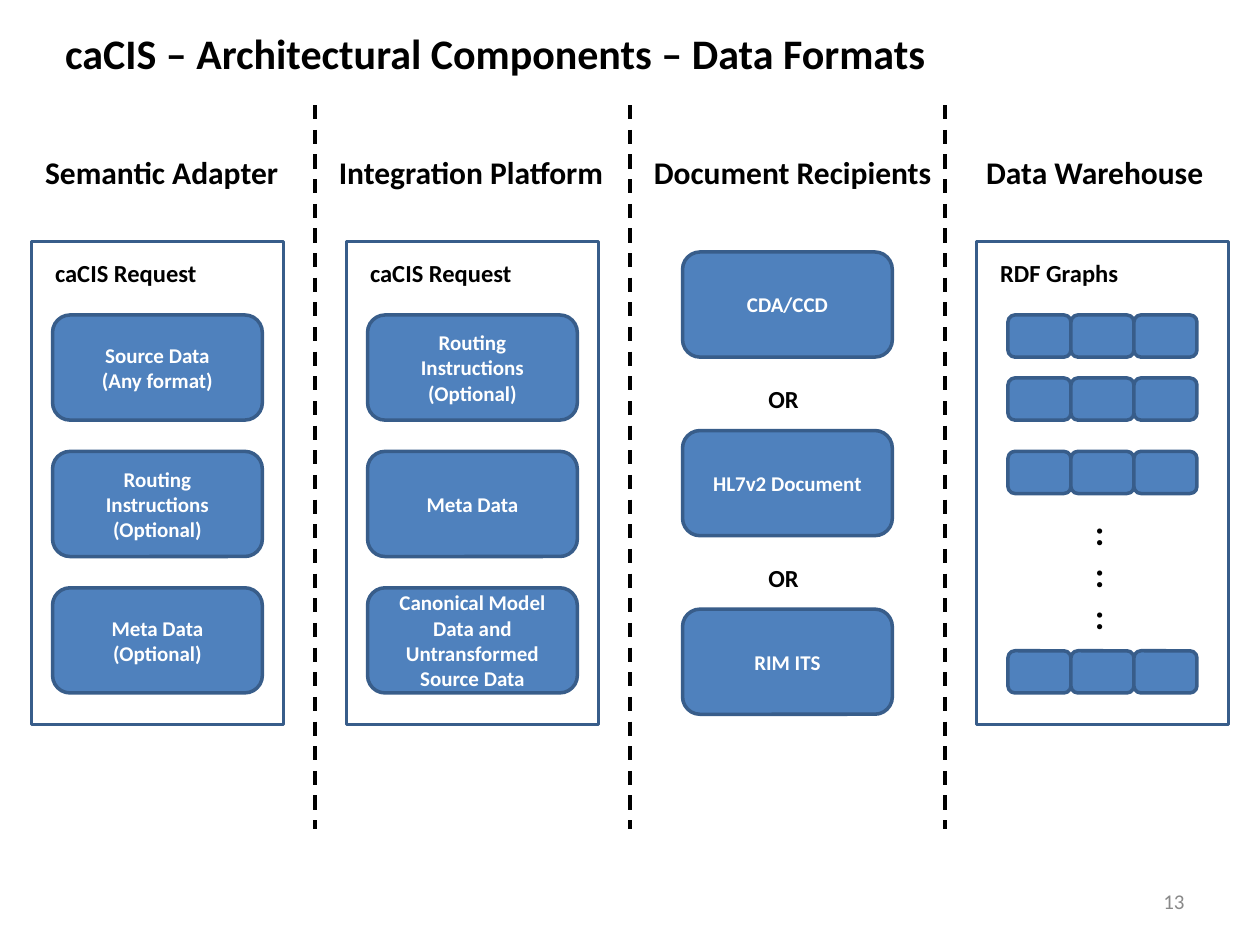
from dataclasses import dataclass

from lxml.etree import SubElement
from pptx import Presentation
from pptx.dml.color import RGBColor
from pptx.enum.dml import MSO_LINE
from pptx.enum.shapes import MSO_CONNECTOR, MSO_SHAPE
from pptx.enum.text import MSO_ANCHOR, MSO_AUTO_SIZE, PP_ALIGN
from pptx.oxml.ns import qn
from pptx.util import Cm, Pt


@dataclass(frozen=True)
class Theme:
    font: str = "Calibri"
    ink: RGBColor = RGBColor(0x00, 0x00, 0x00)
    white: RGBColor = RGBColor(0xFF, 0xFF, 0xFF)
    grey: RGBColor = RGBColor(0x89, 0x89, 0x89)
    fill: RGBColor = RGBColor(0x4F, 0x81, 0xBD)
    outline: RGBColor = RGBColor(0x38, 0x5D, 0x8A)
    title: int = 24
    heading: int = 18
    label: int = 14
    body: int = 12
    dots: int = 20
    line: int = 2


THEME = Theme()

# All lengths below are in centimetres.
COLUMN_W = 6.35
HEADING_TOP = 2.97
FRAME_X, FRAME_TOP, FRAME_W, FRAME_H = 0.64, 4.87, 5.08, 9.74
LABEL_X, LABEL_TOP, LABEL_H = 0.86, 5.08, 0.86
BOX_X, BOX_W, BOX_H = 1.06, 4.23, 2.12
REQUEST_TOP, REQUEST_PITCH = 6.35, 2.75
DOCUMENT_TOP, DOCUMENT_PITCH = 5.08, 3.6
CELL_X, CELL_W, CELL_H = 20.32, 1.27, 0.85
GRAPH_TOPS = (6.35, 7.62, 9.1, 13.12)

HEADINGS = (  # text, offset in its column, width
    ("Semantic Adapter", 0.66, 5.21),
    ("Integration Platform", 0.23, 5.89),
    ("Document Recipients", 0.23, 6.12),
    ("Data Warehouse", 0.58, 4.93),
)
FRAMES = {0: ("caCIS Request", 3.38), 1: ("caCIS Request", 3.38), 3: ("RDF Graphs", 2.9)}
REQUESTS = (
    (
        ("Source Data", "(Any format)"),
        ("Routing Instructions", "(Optional)"),
        ("Meta Data", "(Optional)"),
    ),
    (
        ("Routing Instructions", "(Optional)"),
        ("Meta Data",),
        ("Canonical Model Data and", "Untransformed Source Data"),
    ),
)
DOCUMENTS = ("CDA/CCD", "HL7v2 Document", "RIM ITS")


def write(tf, lines, size, color=THEME.ink, bold=True, align=PP_ALIGN.LEFT):
    for i, line in enumerate(lines):
        p = tf.paragraphs[0] if i == 0 else tf.add_paragraph()
        p.alignment = align
        r = p.add_run()
        r.text = line
        r.font.name = THEME.font
        r.font.size = Pt(size)
        r.font.bold = bold
        r.font.color.rgb = color


def add_title(s, text):
    sp = s.shapes.title
    sp.left, sp.top, sp.width, sp.height = Cm(1.06), Cm(0.42), Cm(23.7), Cm(1.27)
    tf = sp.text_frame
    tf.vertical_anchor = MSO_ANCHOR.TOP
    tf.auto_size = MSO_AUTO_SIZE.NONE
    write(tf, [text], THEME.title)


def add_text(s, lines, x, y, w, h, size):
    """Add a bold one-column label that never wraps."""
    tf = s.shapes.add_textbox(Cm(x), Cm(y), Cm(w), Cm(h)).text_frame
    tf.word_wrap = False
    tf.auto_size = MSO_AUTO_SIZE.SHAPE_TO_FIT_TEXT
    write(tf, lines, size)


def add_page_number(s, text):
    tf = s.shapes.add_textbox(Cm(18.2), Cm(17.65), Cm(5.93), Cm(1.02)).text_frame
    tf.word_wrap = True
    tf.vertical_anchor = MSO_ANCHOR.MIDDLE
    write(tf, [text], THEME.body, THEME.grey, bold=False, align=PP_ALIGN.RIGHT)


def add_divider(s, x):
    line = s.shapes.add_connector(MSO_CONNECTOR.STRAIGHT, Cm(x), Cm(2.12), Cm(x), Cm(16.72))
    line.line.color.rgb = THEME.ink
    line.line.width = Pt(THEME.line)
    line.line.dash_style = MSO_LINE.DASH
    SubElement(line._element.spPr, qn("a:effectLst"))


def add_outlined(shapes, kind, x, y, w, h):
    sp = shapes.add_shape(kind, Cm(x), Cm(y), Cm(w), Cm(h))
    sp.shadow.inherit = False
    sp.line.color.rgb = THEME.outline
    sp.line.width = Pt(THEME.line)
    return sp


def add_frame(s, column, label, label_w):
    left = column * COLUMN_W
    sp = add_outlined(s.shapes, MSO_SHAPE.RECTANGLE, left + FRAME_X, FRAME_TOP, FRAME_W, FRAME_H)
    sp.fill.background()
    add_text(s, [label], left + LABEL_X, LABEL_TOP, label_w, LABEL_H, THEME.label)


def add_rounded(shapes, x, y, w, h):
    sp = add_outlined(shapes, MSO_SHAPE.FLOWCHART_ALTERNATE_PROCESS, x, y, w, h)
    sp.fill.solid()
    sp.fill.fore_color.rgb = THEME.fill
    return sp


def add_box(s, lines, column, y):
    tf = add_rounded(s.shapes, column * COLUMN_W + BOX_X, y, BOX_W, BOX_H).text_frame
    tf.word_wrap = True
    tf.vertical_anchor = MSO_ANCHOR.MIDDLE
    tf.margin_left = tf.margin_right = Cm(0.25)
    write(tf, lines, THEME.body, THEME.white, align=PP_ALIGN.CENTER)


def add_graph(s, y):
    """Add one RDF graph: three touching cells in a group."""
    group = s.shapes.add_group_shape()
    for i in range(3):
        add_rounded(group.shapes, CELL_X + i * CELL_W, y, CELL_W, CELL_H)


def main():
    prs = Presentation()
    prs.slide_width, prs.slide_height = Cm(25.4), Cm(19.05)
    s = prs.slides.add_slide(prs.slide_layouts[5])

    add_title(s, "caCIS – Architectural Components – Data Formats")
    add_page_number(s, "13")
    for column in range(1, len(HEADINGS)):
        add_divider(s, column * COLUMN_W)
    for column, (text, offset, width) in enumerate(HEADINGS):
        add_text(s, [text], column * COLUMN_W + offset, HEADING_TOP, width, 1.02, THEME.heading)
    for column, (label, label_w) in FRAMES.items():
        add_frame(s, column, label, label_w)

    for column, boxes in enumerate(REQUESTS):
        for row, lines in enumerate(boxes):
            add_box(s, lines, column, REQUEST_TOP + row * REQUEST_PITCH)

    for row, name in enumerate(DOCUMENTS):
        top = DOCUMENT_TOP + row * DOCUMENT_PITCH
        add_box(s, [name], 2, top)
        if row < len(DOCUMENTS) - 1:
            add_text(s, ["OR"], 15.24, top + 2.54, 1.12, LABEL_H, THEME.label)

    for top in GRAPH_TOPS:
        add_graph(s, top)
    add_text(s, [":"] * 3, 21.82, 10.16, 0.69, 2.79, THEME.dots)

    prs.save("out.pptx")


if __name__ == "__main__":
    main()
